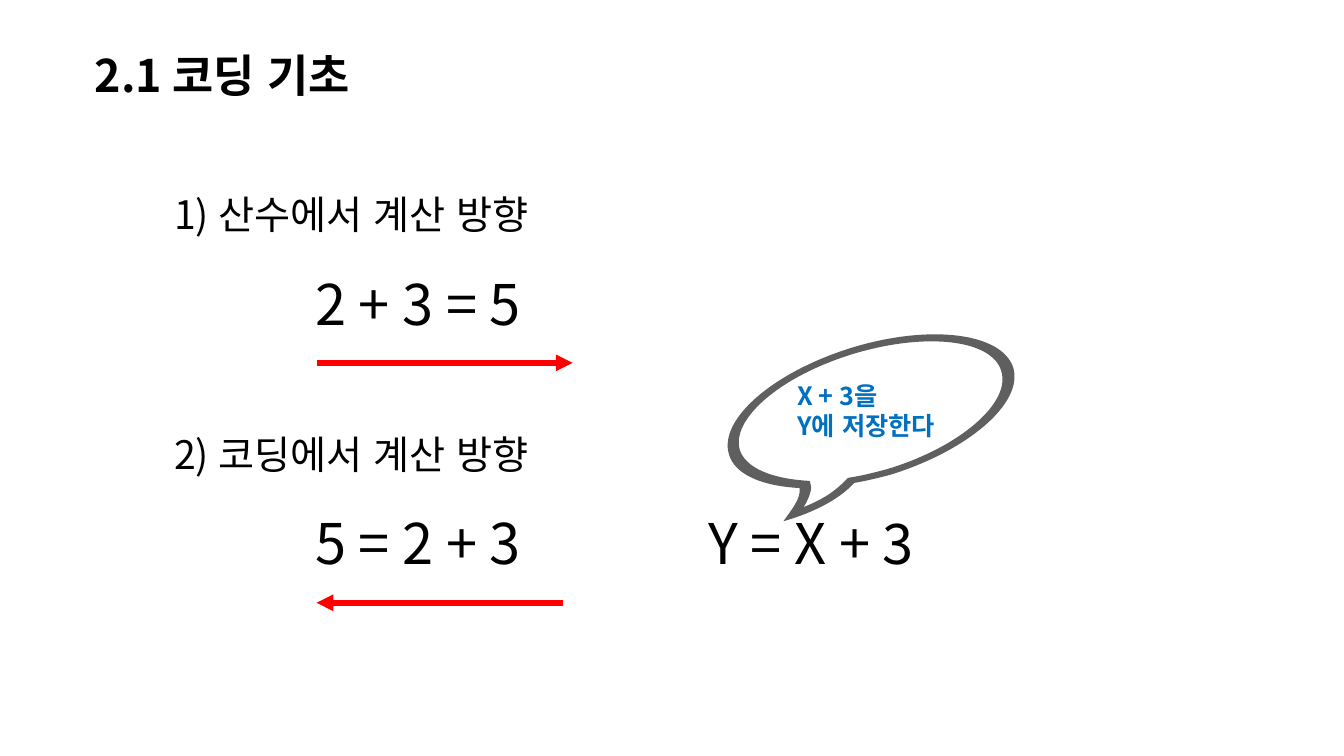
from math import cos, radians, sin
from pptx import Presentation
from pptx.dml.color import RGBColor
from pptx.enum.lang import MSO_LANGUAGE_ID as Lang
from pptx.enum.shapes import MSO_CONNECTOR as Link
from pptx.enum.text import MSO_ANCHOR as Anchor, MSO_AUTO_SIZE as Auto, PP_ALIGN as Align
from pptx.oxml.ns import qn
from pptx.util import Inches, Pt
from lxml.etree import SubElement as Sub

BLACK = RGBColor(0x00, 0x00, 0x00)
RED = RGBColor(0xFF, 0x00, 0x00)
BLUE = RGBColor(0x00, 0x70, 0xC0)
GRAY = RGBColor(0x5F, 0x5F, 0x5F)
FONT = "Noto Sans CJK KR"
TILT = 343
MID = (8.655, 4.145)


def write(box, lines, area, size, color=BLACK, bold=False):
    box.left, box.top, box.width, box.height = map(Inches, area)
    frame = box.text_frame
    frame.text = "\n".join(lines)
    format = {"word_wrap": False, "auto_size": Auto.SHAPE_TO_FIT_TEXT, "vertical_anchor": Anchor.TOP}
    for key, value in format.items():
        setattr(frame, key, value)
    for para in frame.paragraphs:
        para.alignment = Align.LEFT
        para.line_spacing = 1.0
        font = para.runs[0].font
        look = {"name": FONT, "size": Pt(size), "bold": bold, "language_id": Lang.KOREAN}
        for key, value in look.items():
            setattr(font, key, value)
        font.color.rgb = color
        Sub(font._element, qn("a:ea"), typeface=FONT)


def turn(point):
    x, y = point[0] - MID[0], point[1] - MID[1]
    a = radians(-TILT)
    return (round(1000 * (MID[0] + x * cos(a) - y * sin(a))),
            round(1000 * (MID[1] + x * sin(a) + y * cos(a))))


deck = Presentation()
deck.slide_width, deck.slide_height = Inches(13.33), Inches(7.5)
slide = deck.slides.add_slide(deck.slide_layouts[5])
shapes = slide.shapes

write(shapes.title, ["2.1 코딩 기초"], (0.84, 0.42, 2.95, 0.64), 32, bold=True)

groups = [
    ("1) 산수에서 계산 방향", "2 + 3 = 5", 3.14, 5.68),
    ("2) 코딩에서 계산 방향", "5 = 2 + 3", 5.58, 3.14),
]
for row, (label, sum, start, end) in enumerate(groups):
    top = 1.84 + 2.38 * row
    write(shapes.add_textbox(0, 0, 0, 0), [label], (1.63, top, 4.09, 0.57), 28)
    write(shapes.add_textbox(0, 0, 0, 0), [sum], (3.03, top + 0.78, 2.71, 0.77), 40)
    y = Inches(top + 1.76)
    arrow = shapes.add_connector(Link.STRAIGHT, Inches(start), y, Inches(end), y)
    arrow.line.width = Pt(4)
    arrow.line.color.rgb = RED
    Sub(arrow.line._get_or_add_ln(), qn("a:tailEnd"), type="triangle")
    Sub(arrow._element.spPr, qn("a:effectLst"))

write(shapes.add_textbox(0, 0, 0, 0), ["Y = X + 3"], (6.93, 5, 2.74, 0.77), 40)

outer = [
    ((7.67, 3.69), (7.12, 4.16), (7.23, 4.51)),
    ((7.29, 4.71), (7.56, 4.82), (7.93, 4.84)),
    ((7.95, 4.94), (7.84, 5.07), (7.77, 5.17)),
    ((8.05, 5.09), (8.32, 4.96), (8.47, 4.79)),
    ((8.59, 4.77), (8.71, 4.74), (8.83, 4.71)),
    ((9.6, 4.47), (10.15, 4), (10.05, 3.65)),
    ((9.94, 3.3), (9.22, 3.21), (8.44, 3.45)),
]
inner = [
    ((9.19, 3.29), (9.84, 3.37), (9.93, 3.68)),
    ((10.03, 3.99), (9.53, 4.43), (8.81, 4.65)),
    ((8.66, 4.69), (8.54, 4.72), (8.41, 4.74)),
    ((8.27, 4.89), (8.14, 4.96), (7.97, 5.03)),
    ((8.01, 4.97), (8.03, 4.91), (8.04, 4.87)),
    ((8.05, 4.84), (8.04, 4.8), (8.03, 4.77)),
    ((7.65, 4.75), (7.4, 4.64), (7.34, 4.47)),
    ((7.24, 4.16), (7.74, 3.73), (8.46, 3.51)),
]
pen = shapes.build_freeform(*turn(outer[-1][2]), scale=Inches(1) / 1000)
pen.add_line_segments([turn(curve[2]) for curve in outer], close=True)
pen.move_to(*turn(inner[-1][2]))
pen.add_line_segments([turn(curve[2]) for curve in inner], close=True)
bubble = pen.convert_to_shape()

ends = [turn(curve[2]) for curve in outer + inner]
left, top = min(x for x, y in ends), min(y for x, y in ends)
lines = list(bubble._element.iter(qn("a:lnTo")))
for line, curve in zip(lines, outer + inner):
    line.tag = qn("a:cubicBezTo")
    line.remove(line[0])
    for x, y in map(turn, curve):
        Sub(line, qn("a:pt"), x=str(x - left), y=str(y - top))

bubble.rotation = TILT
bubble.shadow.inherit = False
bubble.fill.solid()
bubble.fill.fore_color.rgb = GRAY
bubble.line.fill.background()

write(shapes.add_textbox(0, 0, 0, 0), ["X + 3을", "Y에 저장한다"], (7.81, 3.72, 1.7, 0.71), 18, BLUE, True)

deck.save("out.pptx")
